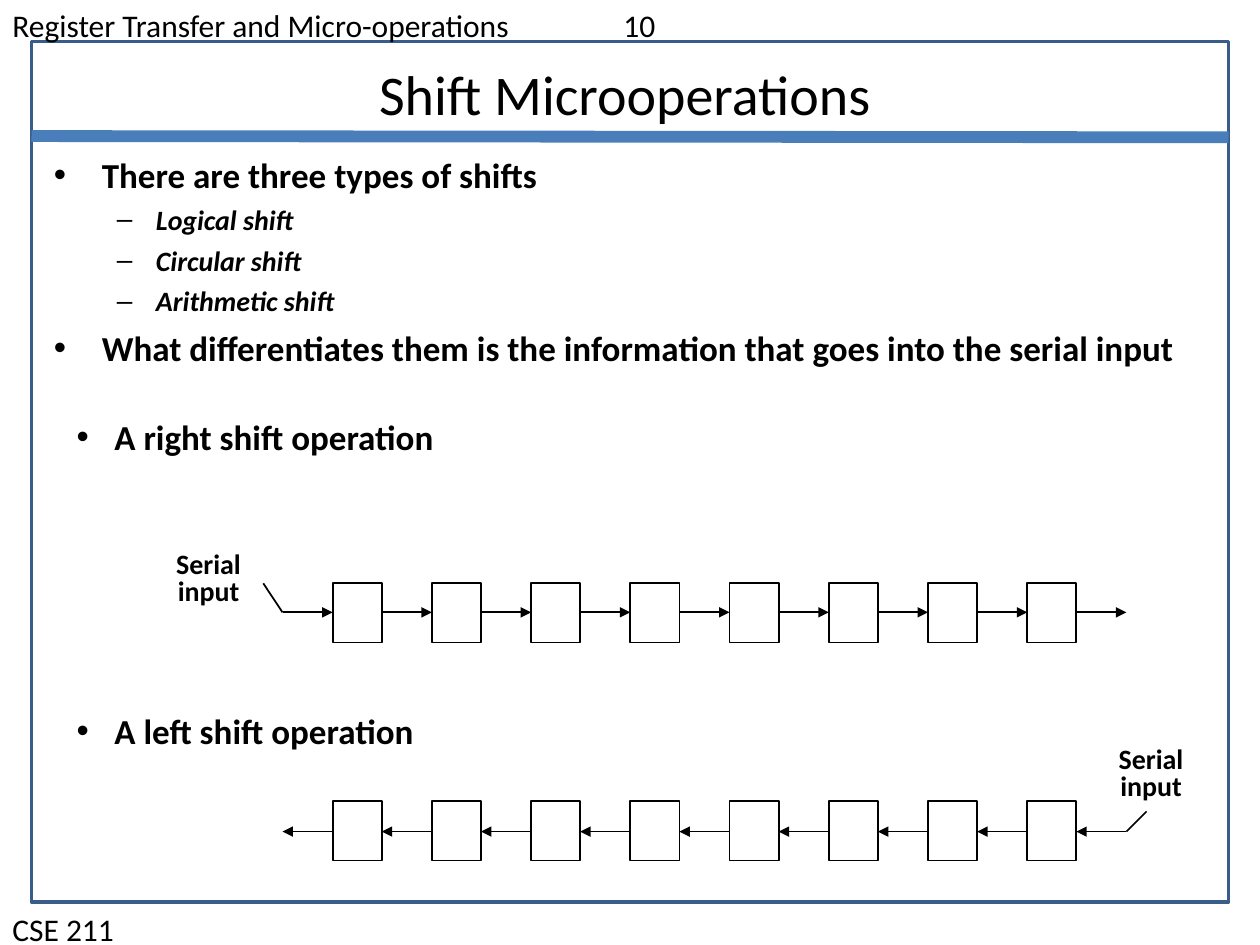
from dataclasses import dataclass

from lxml.etree import SubElement
from pptx import Presentation
from pptx.dml.color import RGBColor
from pptx.enum.shapes import MSO_CONNECTOR, MSO_SHAPE
from pptx.enum.text import PP_ALIGN
from pptx.oxml.ns import qn
from pptx.util import Inches, Pt


@dataclass(frozen=True)
class Theme:
    font: str = "Calibri"
    ink: RGBColor = RGBColor(0, 0, 0)
    frame: RGBColor = RGBColor(0x38, 0x5D, 0x8A)
    rule: RGBColor = RGBColor(0x4A, 0x7E, 0xBB)
    title: int = 32
    point: int = 20
    running: int = 18
    detail: int = 16


@dataclass(frozen=True)
class ShiftRegister:
    top: float
    wire: float
    rightward: bool
    lead: tuple[float, float]
    label: tuple[float, float]


THEME = Theme()
CELLS = 8
FIRST_CELL = 2.64
LAST_WIRE_END = 8.94
CELL_WIDTH, CELL_HEIGHT = 0.39, 0.47
PITCH = (LAST_WIRE_END - FIRST_CELL) / CELLS
REGISTERS = (
    ShiftRegister(4.63, 4.86, True, (2.09, 4.63), (1.26, 4.34)),
    ShiftRegister(6.36, 6.6, False, (9.1, 6.44), (8.74, 5.89)),
)

presentation = Presentation()
presentation.slide_width = Inches(10)
presentation.slide_height = Inches(7.5)
slide = presentation.slides.add_slide(presentation.slide_layouts[6])


def add_text_box(left: float, top: float, width: float, height: float):
    frame = slide.shapes.add_textbox(
        Inches(left), Inches(top), Inches(width), Inches(height)
    ).text_frame
    frame.word_wrap = True
    return frame


def write(frame, text: str, *, size: int, bold: bool = False, italic: bool = False,
          align: PP_ALIGN = PP_ALIGN.LEFT, before: float = 0, spacing: float = 1.0,
          bullet: str = "", margin: float = 0, hang: float = 0, tab: float = 0) -> None:
    paragraph = frame.paragraphs[0]
    if paragraph.runs:
        paragraph = frame.add_paragraph()
    paragraph.alignment = align
    paragraph.space_before = Pt(before)
    paragraph.line_spacing = spacing
    run = paragraph.add_run()
    run.text = text
    run.font.name = THEME.font
    run.font.size = Pt(size)
    run.font.bold = bold
    run.font.italic = italic
    run.font.color.rgb = THEME.ink
    properties = paragraph._p.get_or_add_pPr()
    if bullet:
        properties.set("marL", str(Inches(margin)))
        properties.set("indent", str(-Inches(hang)))
        SubElement(properties, qn("a:buFont"), typeface="Arial")
        SubElement(properties, qn("a:buChar"), char=bullet)
    if tab:
        stops = SubElement(properties, qn("a:tabLst"))
        SubElement(stops, qn("a:tab"), pos=str(Inches(tab)), algn="l")


def draw_box(left: float, top: float, width: float, height: float,
             color: RGBColor, weight: float) -> None:
    box = slide.shapes.add_shape(
        MSO_SHAPE.RECTANGLE, Inches(left), Inches(top), Inches(width), Inches(height)
    )
    box.shadow.inherit = False
    box.fill.background()
    box.line.color.rgb = color
    box.line.width = Pt(weight)


def draw_line(start: tuple[float, float], end: tuple[float, float],
              color: RGBColor = THEME.ink, weight: float = 1, arrow: bool = False) -> None:
    line = slide.shapes.add_connector(
        MSO_CONNECTOR.STRAIGHT, *(Inches(value) for value in (*start, *end))
    )
    line.line.color.rgb = color
    line.line.width = Pt(weight)
    if arrow:
        SubElement(line.line._get_or_add_ln(), qn("a:tailEnd"), type="triangle")
    SubElement(line._element.spPr, qn("a:effectLst"))


def draw_register(register: ShiftRegister) -> None:
    for index in range(CELLS):
        draw_box(FIRST_CELL + index * PITCH, register.top,
                 CELL_WIDTH, CELL_HEIGHT, THEME.ink, 1)
    gap = PITCH - CELL_WIDTH
    for index in range(CELLS + 1):
        right = FIRST_CELL + index * PITCH
        ends = [(right - gap, register.wire), (right, register.wire)]
        start, end = ends if register.rightward else reversed(ends)
        draw_line(start, end, arrow=True)
    entry = FIRST_CELL - gap if register.rightward else LAST_WIRE_END
    draw_line((entry, register.wire), register.lead)
    label = add_text_box(*register.label, 0.79, 0.53)
    for word in ("Serial", "input"):
        write(label, word, size=THEME.detail, bold=True,
              align=PP_ALIGN.CENTER, spacing=0.8)


draw_box(0.25, 0.33, 9.5, 6.83, THEME.frame, 2)
write(add_text_box(0, 0, 10, 0.41), "Register Transfer and Micro-operations\t10",
      size=THEME.running, tab=4.85)
write(add_text_box(0, 7.17, 10, 0.4), "CSE 211", size=THEME.running)
draw_line((0.25, 1.08), (9.75, 1.09), THEME.rule, 6.75)
write(add_text_box(0.75, 0.42, 8.42, 0.64), "Shift Microoperations",
      size=THEME.title, align=PP_ALIGN.CENTER)

main_point = dict(size=THEME.point, bold=True, before=5, bullet="•", margin=0.38, hang=0.38)
shift_type = dict(size=THEME.detail, bold=True, italic=True, before=4,
                  bullet="–", margin=0.81, hang=0.31)
overview = add_text_box(0.33, 1.17, 9.17, 2.08)
write(overview, "There are three types of shifts", **main_point)
for kind in ("Logical", "Circular", "Arithmetic"):
    write(overview, f"{kind} shift", **shift_type)
write(overview, "What differentiates them is the information that goes into the serial input",
      **main_point)

operations = add_text_box(0.51, 3.25, 5, 2.77)
for direction, before in (("right", 0), ("left", 144)):
    write(operations, f"A {direction} shift operation", size=THEME.point, bold=True,
          before=before, bullet="•", margin=0.3, hang=0.3)

for shift_register in REGISTERS:
    draw_register(shift_register)

presentation.save("out.pptx")
